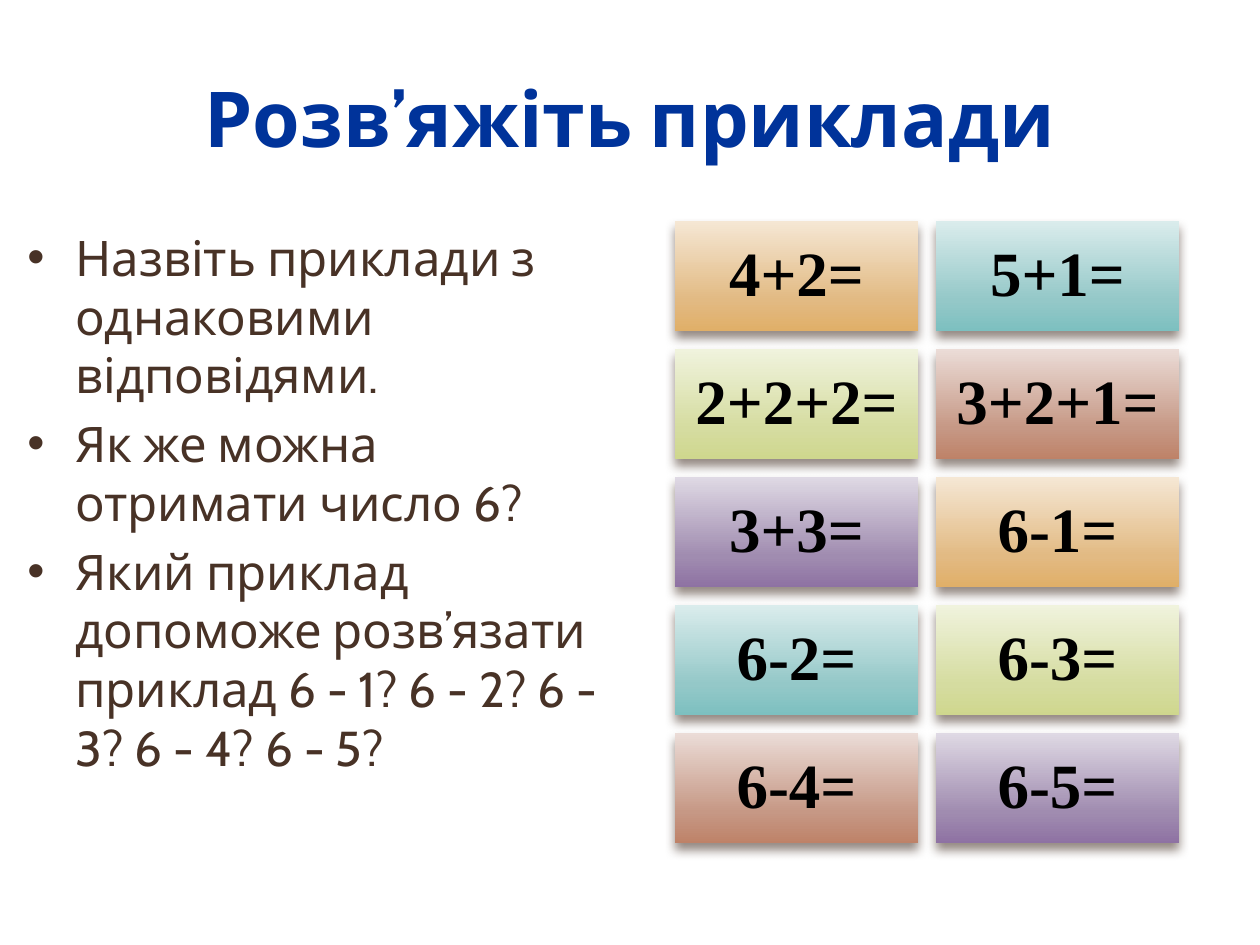
from lxml import etree
from pptx import Presentation
from pptx.dml.color import RGBColor
from pptx.enum.shapes import MSO_SHAPE
from pptx.enum.text import MSO_ANCHOR, MSO_AUTO_SIZE, PP_ALIGN
from pptx.oxml import parse_xml
from pptx.oxml.ns import nsdecls, qn
from pptx.util import Emu, Pt

TITLE = "Розв’яжіть приклади"
QUESTIONS = [
    "Назвіть приклади з однаковими відповідями.",
    "Як же можна отримати число 6?",
    "Який приклад допоможе розв’язати приклад 6 - 1? 6 - 2? 6 - 3? 6 - 4? 6 - 5?",
]
EXAMPLES = ["4+2=", "5+1=", "2+2+2=", "3+2+1=", "3+3=",
            "6-1=", "6-2=", "6-3=", "6-4=", "6-5="]
GRADIENTS = [
    ("F5E7D4", "E2BA83", "E0AF68"),
    ("DAECEC", "94C8C8", "7DC0C0"),
    ("F0F3DD", "D5DCA0", "CFD78E"),
    ("EBDCD7", "C69885", "BE8268"),
    ("DFD9E4", "A08CB0", "8E72A3"),
]
STOPS = (0, 72, 100)

COLUMNS = 2
GRID_LEFT, GRID_TOP = 675, 221
CARD_WIDTH, CARD_HEIGHT, GAP = 243, 110, 18
CARD_INSET, INDENT = 19, 48


def px(value):
    return Emu(round(value * 914400 / 126))


def rgb(color):
    return RGBColor.from_string(color)


def place(shape, left, top, width, height):
    shape.left, shape.top = px(left), px(top)
    shape.width, shape.height = px(width), px(height)


def add_bullet(paragraph):
    properties = paragraph._p.get_or_add_pPr()
    properties.set("marL", str(px(INDENT)))
    properties.set("indent", str(-px(INDENT)))
    font = etree.SubElement(properties, qn("a:buFont"))
    font.set("typeface", "Arial")
    etree.SubElement(properties, qn("a:buChar")).set("char", "•")


def write(shape, lines, size, color, font="Cabin", bold=False,
          align=PP_ALIGN.LEFT, anchor=MSO_ANCHOR.TOP, bullet=False,
          space_before=0, line_spacing=None):
    frame = shape.text_frame
    frame.word_wrap = True
    frame.auto_size = MSO_AUTO_SIZE.NONE
    frame.vertical_anchor = anchor
    for index, line in enumerate(lines):
        paragraph = frame.add_paragraph() if index else frame.paragraphs[0]
        paragraph.alignment = align
        paragraph.space_before = Pt(space_before if index else 0)
        if line_spacing:
            paragraph.line_spacing = line_spacing
        if bullet:
            add_bullet(paragraph)
        run = paragraph.add_run()
        run.text = line
        run.font.size, run.font.bold, run.font.name = Pt(size), bold, font
        run.font.color.rgb = rgb(color)


def outline_text(shape, color, width):
    for run in shape.text_frame.paragraphs[0].runs:
        run.font._element.insert(0, parse_xml(
            f'<a:ln {nsdecls("a")} w="{Pt(width)}"><a:solidFill>'
            f'<a:srgbClr val="{color}"/></a:solidFill></a:ln>'))


def fill_gradient(shape, colors):
    """Fill from top to bottom and add a soft shadow below."""
    stops = "".join(
        f'<a:gs pos="{stop * 1000}"><a:srgbClr val="{color}"/></a:gs>'
        for stop, color in zip(STOPS, colors))
    shape.line.fill.background()
    properties = shape._element.spPr
    properties.insert_element_before(parse_xml(
        f'<a:gradFill {nsdecls("a")} rotWithShape="1"><a:gsLst>{stops}</a:gsLst>'
        '<a:lin ang="5400000" scaled="0"/></a:gradFill>'), "a:ln")
    properties.append(parse_xml(
        f'<a:effectLst {nsdecls("a")}><a:outerShdw blurRad="{Pt(6)}" '
        f'dist="{Pt(4)}" dir="5400000" rotWithShape="0">'
        '<a:srgbClr val="4E3B30"><a:alpha val="60000"/></a:srgbClr>'
        '</a:outerShdw></a:effectLst>'))


def add_card(slide, index, example):
    row, column = divmod(index, COLUMNS)
    card = slide.shapes.add_shape(
        MSO_SHAPE.RECTANGLE,
        px(GRID_LEFT + column * (CARD_WIDTH + GAP)),
        px(GRID_TOP + row * (CARD_HEIGHT + GAP)),
        px(CARD_WIDTH), px(CARD_HEIGHT))
    fill_gradient(card, GRADIENTS[index % len(GRADIENTS)])
    frame = card.text_frame
    frame.margin_left = frame.margin_right = px(CARD_INSET)
    frame.margin_top = frame.margin_bottom = px(CARD_INSET)
    write(card, [example], 36, "000000", font="Times New Roman", bold=True,
          align=PP_ALIGN.CENTER, anchor=MSO_ANCHOR.MIDDLE, line_spacing=0.9)


def main():
    presentation = Presentation()
    presentation.slide_width, presentation.slide_height = px(1260), px(945)
    slide = presentation.slides.add_slide(presentation.slide_layouts[5])

    title = slide.shapes.title
    place(title, 63, 38, 1134, 158)
    write(title, [TITLE], 44, "00339A", bold=True,
          align=PP_ALIGN.CENTER, anchor=MSO_ANCHOR.MIDDLE)
    outline_text(title, "F2F2F2", 0.15)

    questions = slide.shapes.add_textbox(px(15), px(221), px(595), px(624))
    write(questions, QUESTIONS, 28, "483226", bullet=True, space_before=5.6)

    for index, example in enumerate(EXAMPLES):
        add_card(slide, index, example)
    presentation.save("out.pptx")


if __name__ == "__main__":
    main()
